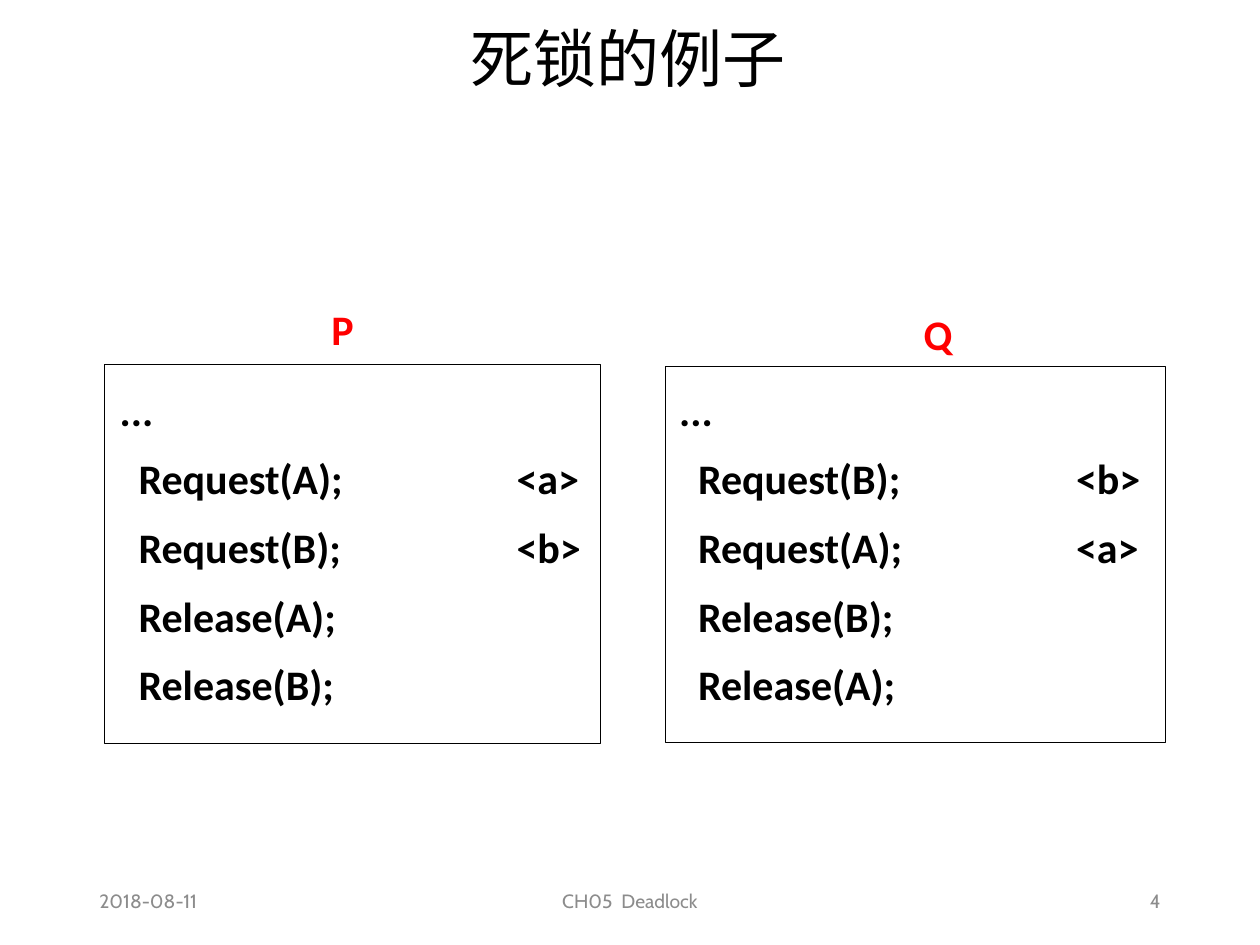
from pptx import Presentation
from pptx.dml.color import RGBColor
from pptx.enum.shapes import MSO_SHAPE
from pptx.enum.text import MSO_ANCHOR, PP_ALIGN
from pptx.oxml.ns import qn
from pptx.util import Inches, Pt
from lxml.etree import SubElement

BLACK, WHITE, RED, GRAY = "000000", "FFFFFF", "FF0000", "8C8C8C"
CODE_TOP, ROW_HEIGHT, LINE_HEIGHT = 3.05, 0.545, 0.4
TAG_OFFSET, TAG_WIDTH, CODE_INDENT = 3.15, 0.56, 0.15
CALL_WIDTHS = {"Request": 1.84, "Release": 1.8}
FOOTER_TOP = 6.95


def color(value):
    return RGBColor.from_string(value)


def add_text(shapes, text, box, size, font, fill, bold=False,
             align=PP_ALIGN.LEFT, spacing=None):
    """Add a text box holding one run, centred vertically."""
    shape = shapes.add_textbox(*map(Inches, box))
    frame = shape.text_frame
    frame.word_wrap = True
    frame.vertical_anchor = MSO_ANCHOR.MIDDLE
    paragraph = frame.paragraphs[0]
    paragraph.alignment = align
    if spacing:
        paragraph.line_spacing = spacing
    run = paragraph.add_run()
    run.text = text
    run.font.size = Pt(size)
    run.font.name = font
    run.font.bold = bold
    run.font.color.rgb = color(fill)
    # East Asian characters take the same font
    SubElement(run.font._element, qn("a:ea")).set("typeface", font)
    return shape


def add_code(shapes, text, left, top, width, fill=BLACK, indent=0):
    """Add one tight, unwrapped line of bold code."""
    shape = add_text(shapes, text, (left, top, width, LINE_HEIGHT),
                     24, "Calibri", fill, bold=True)
    frame = shape.text_frame
    frame.margin_left = frame.margin_right = 0
    frame.margin_top = frame.margin_bottom = 0
    frame.vertical_anchor = MSO_ANCHOR.TOP
    frame.word_wrap = False
    if indent:
        properties = frame.paragraphs[0]._p.get_or_add_pPr()
        properties.set("marL", str(Inches(indent)))
        properties.set("indent", "0")


def add_frame(shapes, box):
    shape = shapes.add_shape(MSO_SHAPE.RECTANGLE, *map(Inches, box))
    shape.shadow.inherit = False
    shape.fill.solid()
    shape.fill.fore_color.rgb = color(WHITE)
    shape.line.color.rgb = color(BLACK)
    shape.line.width = Pt(0.5)


def add_process(slide, box, code_left, name, name_box, name_indent, order):
    """Add a process: its frame, its calls in order and its name."""
    shapes = slide.shapes.add_group_shape().shapes
    add_frame(shapes, box)
    add_code(shapes, "...", code_left, CODE_TOP, 0.3)
    calls = [(verb, resource) for verb in CALL_WIDTHS for resource in order]
    for row, (verb, resource) in enumerate(calls, start=1):
        top = CODE_TOP + row * ROW_HEIGHT
        add_code(shapes, f"{verb}({resource});", code_left, top,
                 CALL_WIDTHS[verb], indent=CODE_INDENT)
        if verb == "Request":
            add_code(shapes, f"<{resource.lower()}>",
                     code_left + TAG_OFFSET, top, TAG_WIDTH)
    add_code(shapes, name, *name_box, fill=RED, indent=name_indent)


def main():
    presentation = Presentation()
    presentation.slide_width = Inches(10)
    presentation.slide_height = Inches(7.5)
    slide = presentation.slides.add_slide(presentation.slide_layouts[6])

    # Title
    add_text(slide.shapes, "死锁的例子", (0.67, 0.11, 8.62, 0.76), 36,
             "Noto Sans CJK SC", BLACK, align=PP_ALIGN.CENTER, spacing=0.9)

    # Footer
    for text, left, width, align in (
            ("2018-08-11", 0.69, 2.25, PP_ALIGN.LEFT),
            ("CH05  Deadlock", 3.31, 3.38, PP_ALIGN.CENTER),
            ("4", 7.06, 2.25, PP_ALIGN.RIGHT)):
        add_text(slide.shapes, text, (left, FOOTER_TOP, width, 0.4), 11,
                 "Cabin", GRAY, align=align)

    # Two processes asking for the resources in opposite order
    add_process(slide, (5.28, 2.91, 3.97, 2.98), 5.39,
                "Q", (7.12, 2.45, 0.48), 0.21, "BA")
    add_process(slide, (0.83, 2.89, 3.94, 3.01), 0.95,
                "P", (2.63, 2.41, 0.2), 0, "AB")

    presentation.save("out.pptx")


main()
